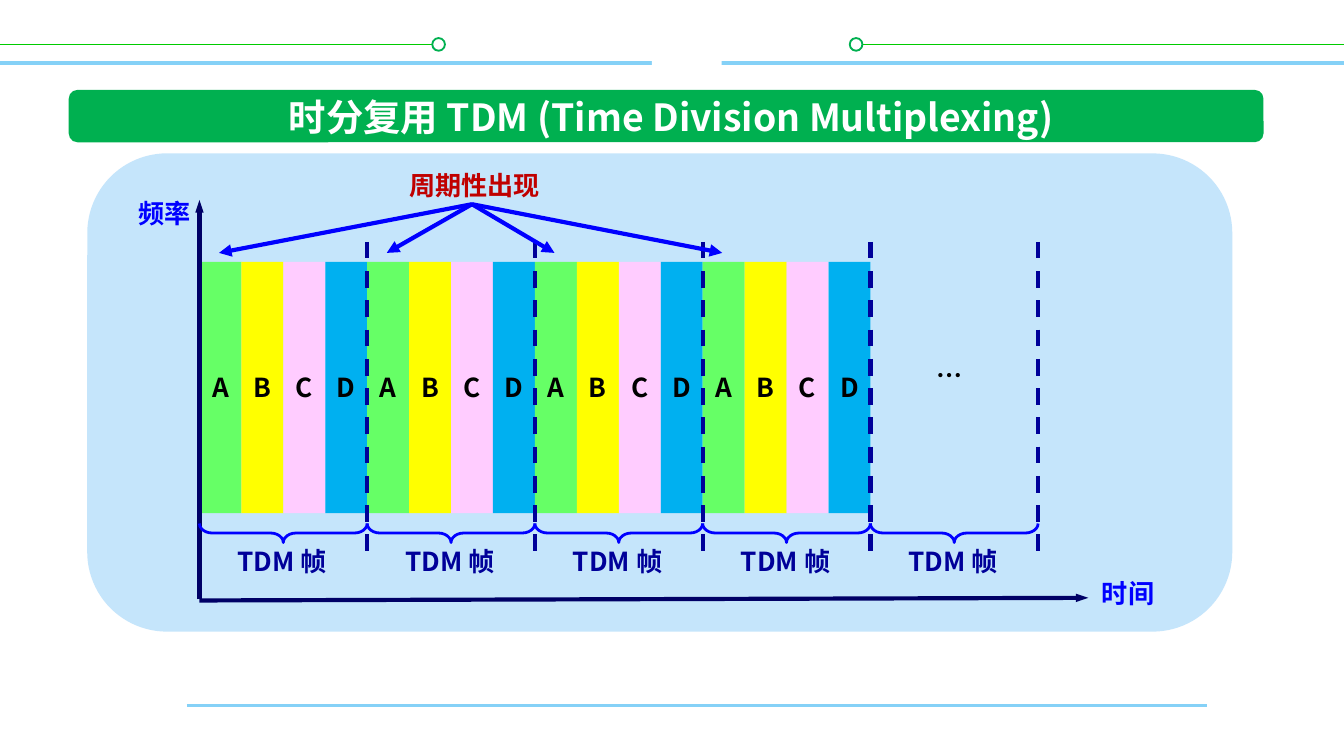
import lxml.etree
import pptx
import pptx.dml.color
import pptx.enum.dml
import pptx.enum.shapes
import pptx.enum.text
import pptx.oxml.ns
import pptx.util

Cm = pptx.util.Cm
Pt = pptx.util.Pt
SHAPE = pptx.enum.shapes.MSO_SHAPE
FONT = "Noto Sans CJK SC"
SKY = "85D1F7"
GREEN = "00B050"
NAVY = "000099"
BLUE = "0000FF"
CHANNELS = [("A", "66FF66"), ("B", "FFFF00"), ("C", "FFCCFF"), ("D", "00B0F0")]
FRAME_COUNT = 5
FILLED_FRAMES = 4
START = 3.77
FRAME = 3.17
SLOT = FRAME / len(CHANNELS)


def rgb(value):
    return pptx.dml.color.RGBColor.from_string(value)


def add_child(parent, tag, **attributes):
    return lxml.etree.SubElement(parent, pptx.oxml.ns.qn(tag), **attributes)


def write(shape, text, color, size=14, spacing=None, wrap=False):
    frame = shape.text_frame
    frame.word_wrap = wrap
    frame.auto_size = pptx.enum.text.MSO_AUTO_SIZE.NONE
    frame.vertical_anchor = pptx.enum.text.MSO_ANCHOR.MIDDLE
    paragraph = frame.paragraphs[0]
    paragraph.alignment = pptx.enum.text.PP_ALIGN.CENTER
    paragraph.space_before = Pt(0)
    if spacing:
        paragraph.line_spacing = spacing
    run = paragraph.add_run()
    run.text = text
    run.font.size = Pt(size)
    run.font.bold = True
    run.font.color.rgb = rgb(color)
    run.font.name = FONT
    add_child(run.font._element, "a:ea", typeface=FONT)


def add_label(slide, text, left, top, width, color, spacing=0.9):
    box = slide.shapes.add_textbox(Cm(left), Cm(top), Cm(width), Cm(0.79))
    write(box, text, color, spacing=spacing)


def add_block(slide, kind, left, top, width, height, fill=None, line=None, weight=1):
    block = slide.shapes.add_shape(kind, Cm(left), Cm(top), Cm(width), Cm(height))
    block.shadow.inherit = False
    if fill:
        block.fill.solid()
        block.fill.fore_color.rgb = rgb(fill)
    else:
        block.fill.background()
    if line:
        block.line.color.rgb = rgb(line)
        block.line.width = Pt(weight)
    else:
        block.line.fill.background()
    return block


def add_line(slide, start, end, color, weight=2.25, dashed=False, head=None):
    line = slide.shapes.add_connector(
        pptx.enum.shapes.MSO_CONNECTOR.STRAIGHT,
        Cm(start[0]), Cm(start[1]), Cm(end[0]), Cm(end[1]))
    line.line.color.rgb = rgb(color)
    line.line.width = Pt(weight)
    if dashed:
        line.line.dash_style = pptx.enum.dml.MSO_LINE.DASH
    if head:
        add_child(line.line._get_or_add_ln(), "a:tailEnd", type="triangle", w=head, len="med")
    add_child(line._element.spPr, "a:effectLst")


def add_decoration(slide):
    for line_left, line_right, dot_left in [(0, 8.23, 8.17), (16.06, 25.4, 16.06)]:
        add_line(slide, (line_left, 0.84), (line_right, 0.84), "00CC00", 1)
        add_block(slide, SHAPE.OVAL, dot_left, 0.72, 0.24, 0.24, "FFFFFF", GREEN)
    add_line(slide, (3.53, 13.34), (22.81, 13.34), SKY, 1.5)
    add_line(slide, (0, 1.19), (25.4, 1.19), SKY, 2)
    add_block(slide, SHAPE.RECTANGLE, 12.32, 0.36, 1.32, 1.3, "FFFFFF")


def add_heading(slide, text):
    add_block(slide, SHAPE.ROUNDED_RECTANGLE, 1.3, 1.7, 22.58, 0.99, GREEN)
    heading = slide.shapes.title
    heading.left, heading.top = Cm(3.48), Cm(1.7)
    heading.width, heading.height = Cm(18.42), Cm(0.99)
    write(heading, text, "FFFFFF", size=20, wrap=True)
    slide.shapes.element.append(heading.element)


def add_slots(slide, frame_left):
    for index, (channel, color) in enumerate(CHANNELS):
        slot = add_block(slide, SHAPE.RECTANGLE, frame_left + index * SLOT, 4.95, SLOT, 4.75, color)
        write(slot, channel, "000000")


def add_frame_mark(slide, frame_left):
    add_label(slide, "TDM 帧", frame_left + 0.37, 10.24, 2.39, NAVY)
    depth = 0.36
    brace = add_block(slide, SHAPE.LEFT_BRACE, frame_left + (FRAME - depth) / 2, 8.49,
                      depth, FRAME, line=BLUE, weight=1.5)
    brace.adjustments[0] = 0.67
    brace.rotation = 270


def add_axes(slide):
    add_line(slide, (START, 11.35), (20.57, 11.3), "000066", head="sm")
    add_line(slide, (START, 11.33), (START, 3.78), "000066", head="sm")
    add_label(slide, "频率", 2.36, 3.68, 1.5, BLUE)
    add_label(slide, "时间", 20.57, 10.85, 1.5, BLUE)


def main():
    deck = pptx.Presentation()
    deck.slide_width, deck.slide_height = Cm(25.4), Cm(14.29)
    slide = deck.slides.add_slide(deck.slide_layouts[5])
    add_decoration(slide)
    add_heading(slide, "时分复用 TDM (Time Division Multiplexing)")
    add_block(slide, SHAPE.ROUNDED_RECTANGLE, 1.65, 2.9, 21.64, 9.04, "C5E5FB")

    frame_lefts = [START + index * FRAME for index in range(FRAME_COUNT)]
    for frame_left in frame_lefts[:FILLED_FRAMES]:
        add_slots(slide, frame_left)
    add_axes(slide)
    for frame_left in frame_lefts:
        add_frame_mark(slide, frame_left)
    add_label(slide, "…", 17.45, 6.7, 0.99, "000000", spacing=None)
    for frame_left in frame_lefts:
        boundary = frame_left + FRAME
        add_line(slide, (boundary, 4.57), (boundary, 10.62), NAVY, dashed=True)

    add_label(slide, "周期性出现", 7.47, 3.15, 3, "C00000")
    for frame_left in frame_lefts[:FILLED_FRAMES]:
        add_line(slide, (8.92, 3.86), (frame_left + 0.37, 4.78), BLUE, head="med")
    deck.save("out.pptx")


if __name__ == "__main__":
    main()
